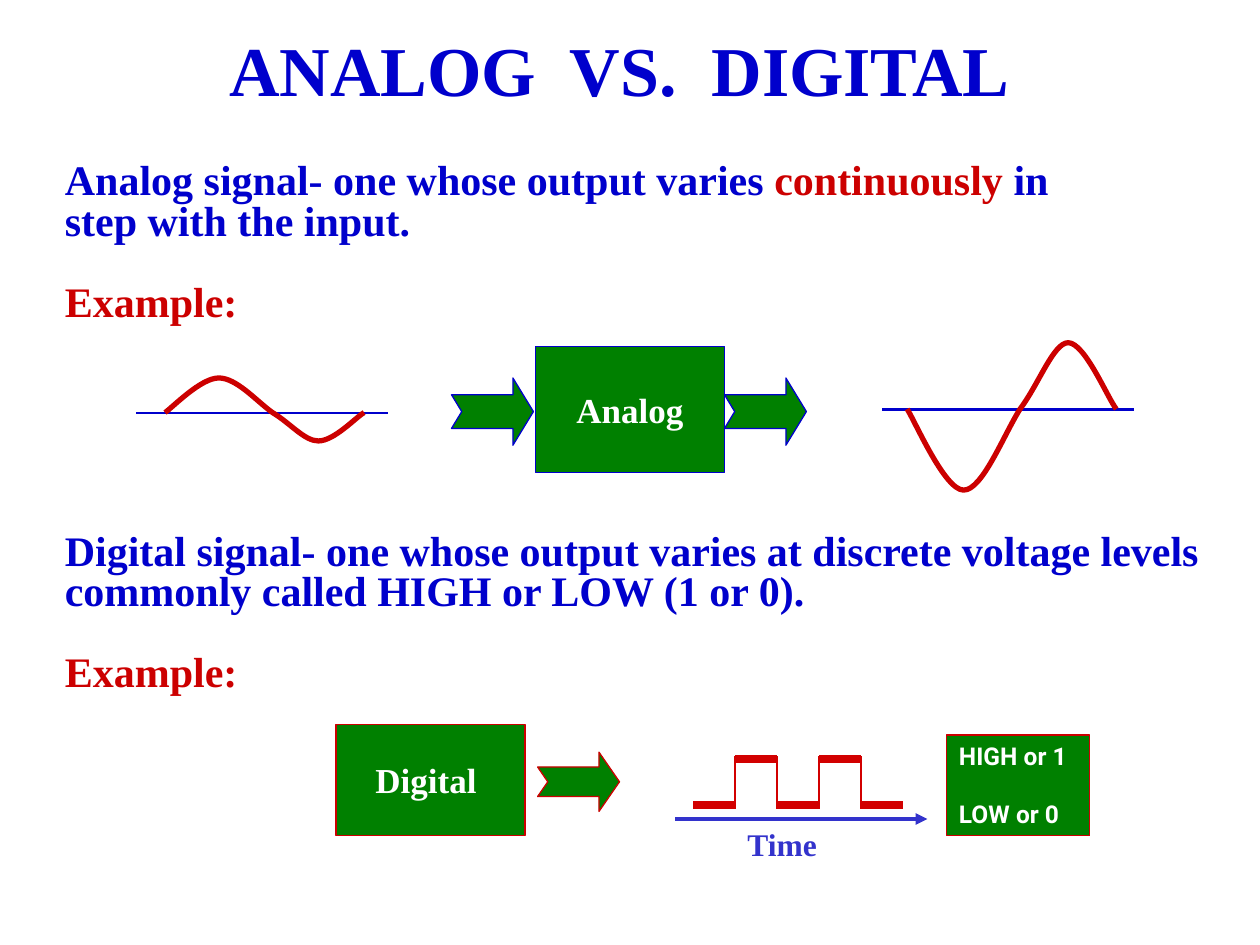
from pptx import Presentation
from pptx.dml.color import RGBColor
from pptx.enum.shapes import MSO_CONNECTOR as CONN, MSO_SHAPE as SHAPE
from pptx.enum.text import MSO_ANCHOR as ANCHOR, MSO_AUTO_SIZE as FIT, PP_ALIGN as ALIGN
from pptx.oxml.ns import qn
from pptx.util import Inches, Pt
from lxml import etree

# The slide is a grid of 120 columns by 90 rows, 12 to the inch
COLS, ROWS = 120, 90
SERIF, SANS = "Times New Roman", "Roboto"
BLUE, RED, GREEN, WHITE = "0000CC", "CC0000", "008000", "FFFFFF"
PULSE_RED, AXIS_BLUE = "D20000", "3333CC"

# Outlines as shares of their box: Bezier knots of a wave, corners of an arrow
WAVE = ((0, .55), (.04, .46), (.18, 0), (.27, 0), (.36, 0), (.46, .37), (.54, .55),
        (.63, .72), (.7, 1), (.77, 1), (.85, 1), (.96, .62), (1, .55))
ARROW = ((0, .25), (.75, .25), (.75, 0), (1, .5), (.75, 1), (.75, .75), (0, .75),
         (.125, .5))


def grid(*units):
    return [Inches(u / 12) for u in units]


def color(hex_value):
    return RGBColor.from_string(hex_value)


def set_line(shape, hex_value, width):
    shape.line.color.rgb = color(hex_value)
    shape.line.width = Pt(width)


def fill_green(sp, outline):
    sp.shadow.inherit = False
    sp.fill.solid()
    sp.fill.fore_color.rgb = color(GREEN)
    set_line(sp, outline, 0.75)


def write(tf, paragraphs, size, font=SERIF, **fmt):
    """Each paragraph is a list of (text, colour) runs; fmt goes to the paragraphs."""
    before = fmt.pop("space_before", None)
    for i, runs in enumerate(paragraphs):
        p = tf.paragraphs[0] if i == 0 else tf.add_paragraph()
        for name, value in fmt.items():
            setattr(p, name, value)
        if i and before:
            p.space_before = before
        for text, hex_value in runs:
            r = p.add_run()
            r.text = text
            for name, value in dict(name=font, size=Pt(size), bold=True).items():
                setattr(r.font, name, value)
            r.font.color.rgb = color(hex_value)


def add_text(s, box, paragraphs, size, wrap=True, **fmt):
    tf = s.shapes.add_textbox(*grid(*box)).text_frame
    tf.word_wrap = wrap
    write(tf, paragraphs, size, **fmt)


def add_block(s, box, outline, paragraphs, size, anchor=ANCHOR.MIDDLE, **fmt):
    sp = s.shapes.add_shape(SHAPE.RECTANGLE, *grid(*box))
    fill_green(sp, outline)
    tf = sp.text_frame
    tf.word_wrap = False
    tf.vertical_anchor = anchor
    write(tf, paragraphs, size, **fmt)


def add_outline(s, box, shares, close):
    left, top, width, height = grid(*box)
    points = [(left + width * x, top + height * y) for x, y in shares]
    builder = s.shapes.build_freeform(*points[0])
    builder.add_line_segments(points[1:], close=close)
    return builder.convert_to_shape()


def add_arrow(s, box, outline):
    fill_green(add_outline(s, box, ARROW, close=True), outline)


def add_wave(s, box, inverted=False):
    shares = [(x, 1 - y if inverted else y) for x, y in WAVE]
    sp = add_outline(s, box, shares, close=False)
    sp.shadow.inherit = False
    sp.fill.background()
    set_line(sp, RED, 3)
    # Every three line segments become one Bezier curve
    lines = list(sp._element.iter(qn("a:lnTo")))
    outline = lines[0].getparent()
    for k in range(0, len(lines), 3):
        curve = etree.SubElement(outline, qn("a:cubicBezTo"))
        for segment in lines[k:k + 3]:
            curve.append(segment[0])
            outline.remove(segment)


def add_line(s, x1, y1, x2, y2, hex_value, width, arrow=False):
    cx = s.shapes.add_connector(CONN.STRAIGHT, *grid(x1, y1, x2, y2))
    set_line(cx, hex_value, width)
    if arrow:
        etree.SubElement(cx.line._get_or_add_ln(), qn("a:tailEnd"), type="triangle")
    etree.SubElement(cx._element.spPr, qn("a:effectLst"))


def add_title(s, box, text):
    title = s.shapes.title
    for name, value in zip(("left", "top", "width", "height"), grid(*box)):
        setattr(title, name, value)
    tf = title.text_frame
    for name, value in dict(word_wrap=True, auto_size=FIT.NONE,
                            vertical_anchor=ANCHOR.MIDDLE).items():
        setattr(tf, name, value)
    write(tf, [[(text, BLUE)]], 40, alignment=ALIGN.CENTER)


def add_definition(s, box, runs):
    add_text(s, box, [runs, [("Example:", RED)]], 24,
             line_spacing=0.8, space_before=Pt(23.5))


def add_analog_example(s, x, y):
    """Input wave, analog block between two arrows, amplified output wave."""
    add_block(s, (x + 38, y, 18, 12), BLUE, [[("Analog", WHITE)]], 20,
              alignment=ALIGN.CENTER)
    for column in (30, 56):
        add_arrow(s, (x + column, y + 3, 7.8, 6.4), BLUE)
    add_line(s, x, y + 6.33, x + 24, y + 6.33, BLUE, 1.5)
    add_line(s, x + 71, y + 6, x + 95, y + 6, BLUE, 1.5)
    add_wave(s, (x + 2.72, y + 3, 18.96, 6))
    add_wave(s, (x + 73.4, y - 0.36, 19.92, 14.04), inverted=True)


def add_pulses(s, x, y, step=4, drop=4.4):
    """Square wave of alternating low and high levels."""
    for i in range(5):
        left = x + i * step
        level = y if i % 2 else y + drop
        add_line(s, left, level, left + step, level, PULSE_RED, 4.5)
        if i:
            add_line(s, left, y + drop + 0.36, left, y - 0.24, PULSE_RED, 0.75)


def add_digital_example(s, x, y):
    """Digital block, arrow, pulse train over a time axis, legend of levels."""
    add_block(s, (x, y, 18, 10.56), RED, [[("Digital ", WHITE)]], 20,
              alignment=ALIGN.CENTER)
    add_arrow(s, (x + 19.2, y + 2.64, 7.8, 5.64), RED)
    add_pulses(s, x + 34, y + 3.27)
    add_line(s, x + 32.33, y + 9, x + 56.33, y + 9, AXIS_BLUE, 2.25, arrow=True)
    add_text(s, (x + 38, y + 9, 9, 4.8), [[("Time", AXIS_BLUE)]], 18, wrap=False)
    add_block(s, (x + 58.15, y + 1, 13.65, 9.6), RED,
              [[("HIGH or 1", WHITE)], [("LOW or 0", WHITE)]], 14, ANCHOR.TOP,
              font=SANS, alignment=ALIGN.LEFT, space_before=Pt(16.5))


def main():
    prs = Presentation()
    prs.slide_width, prs.slide_height = grid(COLS, ROWS)
    s = prs.slides.add_slide(prs.slide_layouts[5])

    add_title(s, (16, 2, 86, 9), "ANALOG  VS.  DIGITAL")

    # Analog half
    add_definition(s, (5, 15, 99, 16.5), [
        ("Analog signal- one whose output varies ", BLUE),
        ("continuously", RED),
        (" in step with the input.", BLUE)])
    add_analog_example(s, 13, 33)

    # Digital half
    add_definition(s, (5, 50.25, 115, 16.5), [
        ("Digital signal- one whose output varies at discrete voltage levels "
         "commonly called HIGH or LOW (1 or 0).", BLUE)])
    add_digital_example(s, 32, 69)

    prs.save("out.pptx")


if __name__ == "__main__":
    main()
